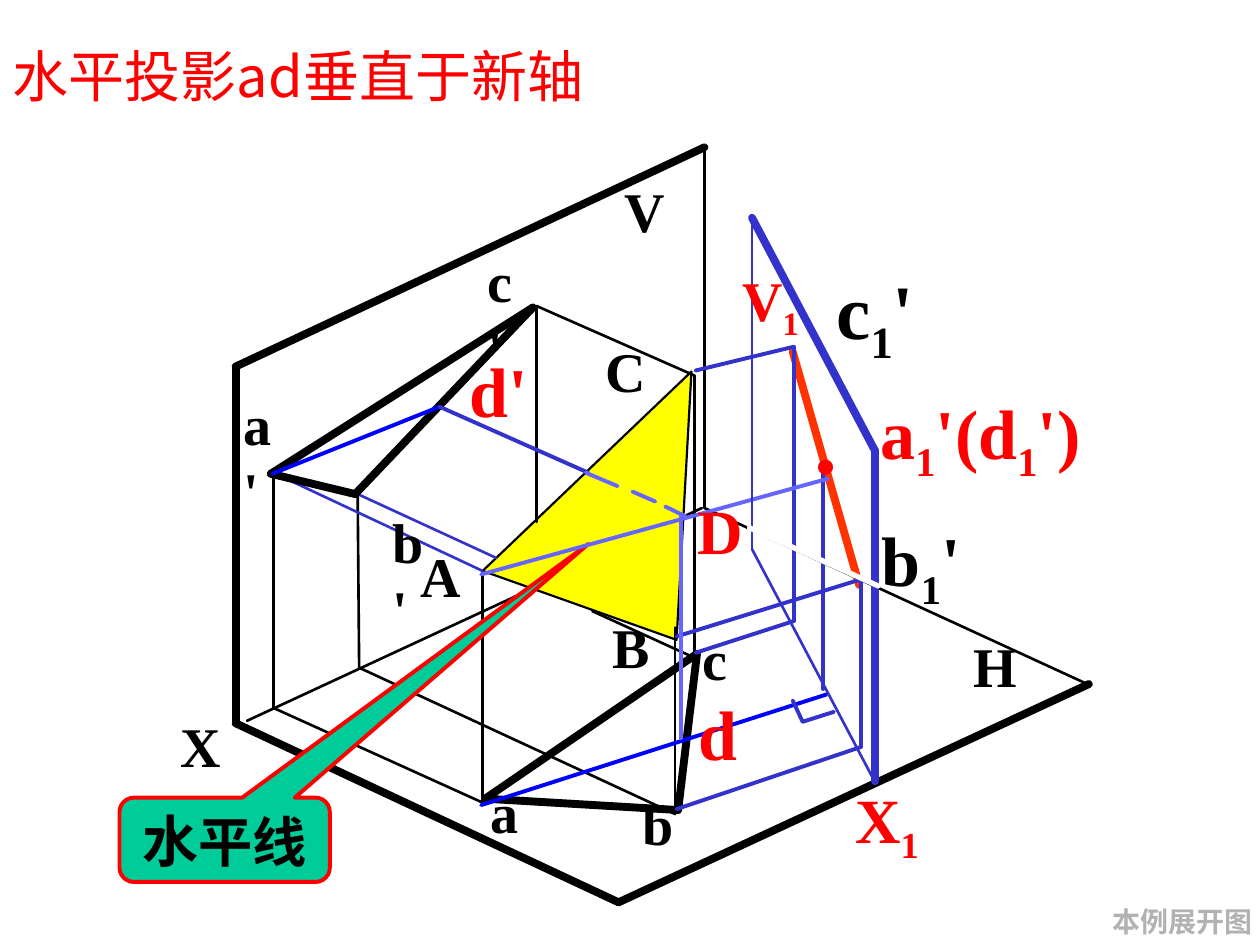
"""Builds the slide on a horizontal projection perpendicular to the new axis."""
from itertools import pairwise

from lxml.etree import SubElement
from pptx import Presentation
from pptx.dml.color import RGBColor
from pptx.enum.shapes import MSO_CONNECTOR, MSO_SHAPE
from pptx.enum.text import MSO_ANCHOR as Anchor, PP_ALIGN as Align
from pptx.oxml.ns import qn
from pptx.util import Cm, Pt

BLACK = RGBColor(0x00, 0x00, 0x00)
WHITE = RGBColor(0xFF, 0xFF, 0xFF)
RED = RGBColor(0xFF, 0x00, 0x00)
ORANGE = RGBColor(0xFF, 0x33, 0x00)
YELLOW = RGBColor(0xFF, 0xFF, 0x00)
GREEN = RGBColor(0x00, 0xCC, 0x99)
GREY = RGBColor(0xB2, 0xB2, 0xB2)
INDIGO = RGBColor(0x33, 0x33, 0xCC)
BLUE = RGBColor(0x00, 0x00, 0xFF)
VIOLET = RGBColor(0x66, 0x66, 0xFF)
SERIF = "Times New Roman"
SANS = "Noto Sans CJK SC"

TITLE = "水平投影ad垂直于新轴"
CALLOUT = [("水", 32), ("平线", 31)]
TRIANGLE = [(3.83, 4.53), (5.49, 2.95), (5.37, 5.08)]

NEW_VIEW_EDGE = [(ORANGE, 4.5, [[(6.29, 2.79), (6.82, 4.64)]])]
PLANES_AND_PROJECTORS = [
    (BLACK, 1.5, [
        [(5.51, 5.22), (4.7, 4.85)],
        [(3.83, 6.37), (2.17, 5.62), (2.17, 3.75)],
        [(5.36, 4.98), (5.36, 6.46), (2.85, 5.3), (2.84, 3.92)],
        [(5.51, 5.22), (5.51, 2.98), (4.26, 2.43), (4.26, 4.14)],
        [(3.83, 6.37), (3.83, 4.53)],
        [(5.43, 4.1), (5.57, 4.03)],
        [(8.63, 5.43), (5.59, 4.03), (5.59, 1.17)],
        [(1.96, 5.72), (4.23, 4.67)],
    ]),
    (INDIGO, 1.5, [
        [(3.83, 4.53), (2.17, 3.75)],
        [(3.94, 4.43), (2.84, 3.92)],
    ]),
    (BLACK, 4.5, [
        [(5.53, 5.19), (5.38, 6.43), (3.85, 6.34), (5.53, 5.19)],
        [(4.23, 2.44), (2.82, 3.92), (2.15, 3.76), (4.23, 2.44)],
        [(5.59, 1.17), (1.87, 2.91), (1.87, 5.74), (4.91, 7.16), (8.64, 5.43)],
    ]),
    (INDIGO, 2.25, [
        [(5.52, 2.94), (6.3, 2.75), (6.3, 4.93), (5.52, 5.18)],
        [(5.37, 5.05), (6.83, 4.6), (6.83, 5.93), (5.37, 6.42)],
    ]),
]
HORIZONTAL_AND_NEW_PLANE = [
    (BLUE, 2.25, [
        [(6.56, 5.51), (3.82, 6.39)],
        [(3.49, 3.23), (2.16, 3.76)],
    ]),
    (INDIGO, 2.25, [
        [(4.67, 3.75), (3.49, 3.23)],
        [(6.53, 3.74), (6.53, 5.47)],
        [(6.29, 5.56), (6.37, 5.73), (6.62, 5.65)],
    ]),
    (VIOLET, 2.25, [
        [(5.4, 4.1), (5.4, 5.86)],
        [(4.65, 3.75), (4.9, 3.86)],
        [(5.02, 3.9), (5.2, 3.98)],
        [(5.28, 4.02), (5.44, 4.1)],
        [(3.82, 4.56), (6.57, 3.8)],
    ]),
    (INDIGO, 1.5, [[(6.94, 6.2), (5.97, 4.36), (5.97, 1.73)]]),
    (INDIGO, 4.5, [[(5.97, 1.73), (6.94, 3.57), (6.94, 6.2)]]),
    (WHITE, 3, [[(5.95, 4.19), (6.97, 4.65)]]),
]

SPACE_LABELS = [
    ("B", 4.76, 4.81, 0.48, 32), ("a", 3.79, 6.12, 0.41, 32),
    ("b", 5, 6.22, 0.43, 32), ("c", 5.48, 4.91, 0.38, 32),
    ("H", 7.63, 4.96, 0.53, 32), ("A", 3.24, 4.25, 0.51, 32),
    ("X", 1.33, 5.6, 0.51, 32), ("C", 4.71, 2.62, 0.51, 32),
    ("b'", 3.02, 3.98, 0.55, 32), ("V", 4.86, 1.35, 0.51, 32),
    ("c_1'", 6.54, 2.03, 0.84, 44), ("b_1'", 6.9, 4.05, 0.85, 40),
]
WRAPPED_LABELS = [("a'", 1.83, 3.04, 0.5, 32), ("c'", 3.77, 1.91, 0.45, 32)]
RED_LABELS = [
    ("D", 5.44, 3.85, 0.56, 36), ("d'", 3.63, 2.71, 0.67, 40),
    ("d", 5.45, 5.43, 0.51, 40), ("a_1'(d_1')", 6.89, 3.04, 1.84, 40),
    ("X_1", 6.69, 6.14, 0.81, 36), ("V_1", 5.79, 2.06, 0.67, 32),
]


def length(inches):
    return Cm(round(inches * 2.54, 2))


def write(paragraph, text, *, size, color=BLACK, font=SERIF, bold=True, align=Align.LEFT):
    paragraph.alignment = align
    head, *subscripted = text.split("_")
    pieces = [(head, False)]
    for piece in subscripted:
        pieces += [(piece[0], True), (piece[1:], False)]
    for piece, lowered in pieces:
        if not piece:
            continue
        run = paragraph.add_run()
        run.text = piece
        run.font.size, run.font.bold = Pt(size), bold
        run.font.color.rgb = color
        run.font.name = font
        properties = run.font._element
        SubElement(properties, qn("a:ea"), typeface=SANS)
        if lowered:
            properties.set("baseline", "-25000")


def add_label(slide, text, left, top, width, size, *, wrap=False, **style):
    height = size * 0.0168 + 0.1
    label = slide.shapes.add_textbox(*map(length, (left, top, width, height)))
    label.text_frame.word_wrap = wrap
    write(label.text_frame.paragraphs[0], text, size=size, **style)


def draw_lines(slide, groups):
    for color, weight, chains in groups:
        for chain in chains:
            for start, end in pairwise(chain):
                edge = slide.shapes.add_connector(
                    MSO_CONNECTOR.STRAIGHT, *map(length, start + end))
                edge.line.color.rgb = color
                edge.line.width = Pt(weight)
                edge.line._get_or_add_ln().set("cap", "rnd")
                SubElement(edge._element.spPr, qn("a:effectLst"))


def paint(shape, fill, line, weight):
    shape.shadow.inherit = False
    shape.fill.solid()
    shape.fill.fore_color.rgb = fill
    shape.line.color.rgb = line
    shape.line.width = Pt(weight)


def add_title(slide):
    title = slide.shapes.title
    title.left, title.top, title.width, title.height = map(length, (0, 0.28, 7.26, 0.63))
    title.text_frame.vertical_anchor = Anchor.TOP
    title.text_frame.word_wrap = True
    write(title.text_frame.paragraphs[0], TITLE, size=32, color=RED, font=SANS, bold=False)


def add_triangle(slide):
    first, *others = [tuple(map(length, vertex)) for vertex in TRIANGLE]
    builder = slide.shapes.build_freeform(*first)
    builder.add_line_segments(others, close=True)
    paint(builder.convert_to_shape(), YELLOW, BLACK, 1.25)


def add_callout(slide):
    callout = slide.shapes.add_shape(
        MSO_SHAPE.ROUNDED_RECTANGULAR_CALLOUT, *map(length, (0.95, 6.33, 1.67, 0.67)))
    for index, value in enumerate((1.73, -3.51, 0.17)):
        callout.adjustments[index] = value
    paint(callout, GREEN, RED, 2.25)
    callout.text_frame.word_wrap = False
    callout.text_frame.vertical_anchor = Anchor.MIDDLE
    for text, size in CALLOUT:
        write(callout.text_frame.paragraphs[0], text, size=size, align=Align.CENTER)


def main():
    deck = Presentation()
    deck.slide_width, deck.slide_height = Cm(25.4), Cm(19.05)
    slide = deck.slides.add_slide(deck.slide_layouts[5])
    add_title(slide)
    draw_lines(slide, NEW_VIEW_EDGE)
    add_triangle(slide)
    draw_lines(slide, PLANES_AND_PROJECTORS)
    for label in SPACE_LABELS:
        add_label(slide, *label)
    for label in WRAPPED_LABELS:
        add_label(slide, *label, wrap=True)
    add_callout(slide)
    draw_lines(slide, HORIZONTAL_AND_NEW_PLANE)
    for label in RED_LABELS:
        add_label(slide, *label, color=RED)
    add_label(slide, "•", 6.34, 3.33, 0.43, 36, color=RED, bold=False, align=Align.CENTER)
    add_label(slide, "本例展开图", 8.72, 7.13, 1.32, 16, color=GREY, align=Align.RIGHT)
    deck.save("out.pptx")


if __name__ == "__main__":
    main()
